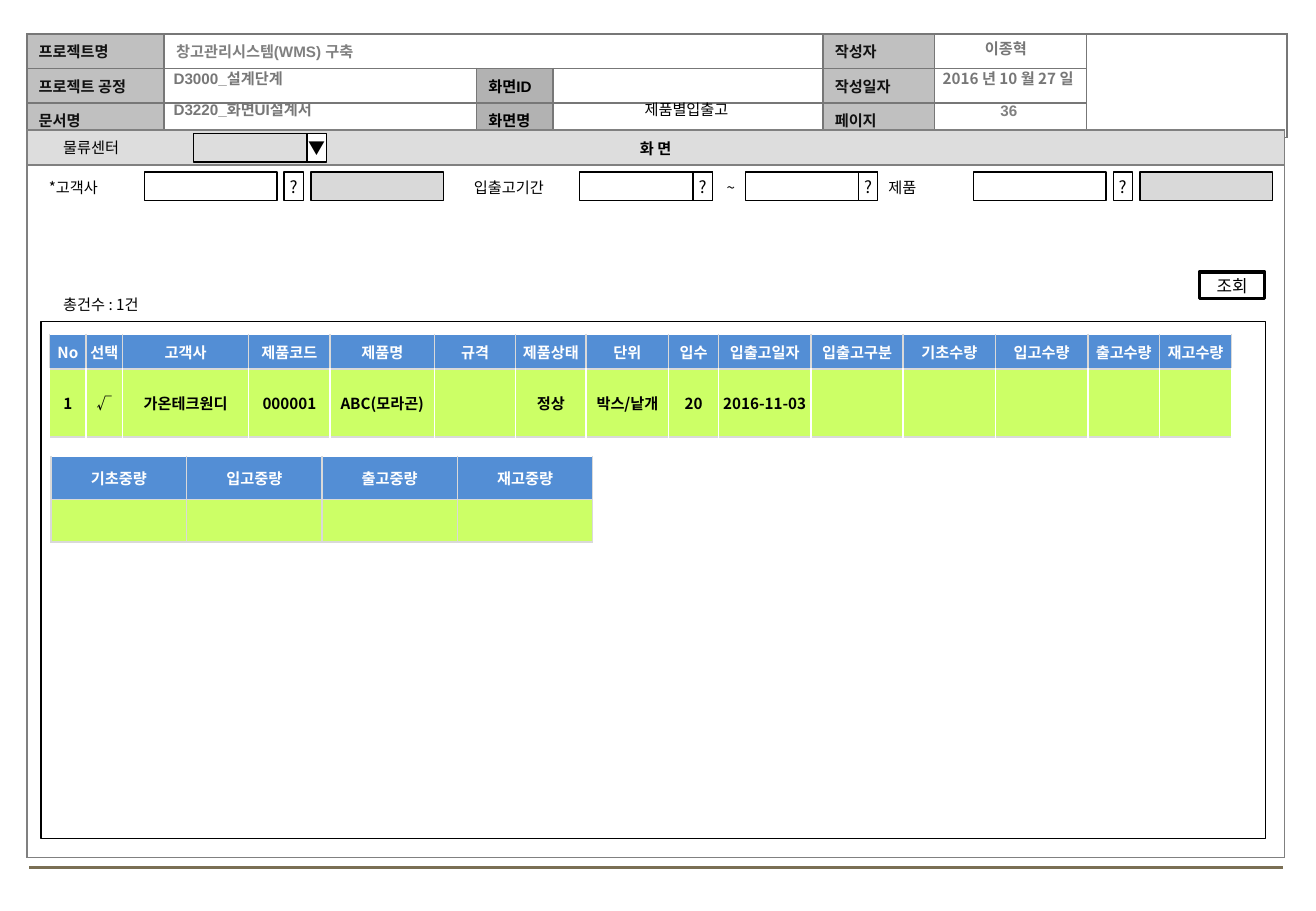
"""Builds the stock movement screen design slide."""
from lxml import etree
from pptx import Presentation, util as u
from pptx.dml import color
from pptx.enum import shapes, text
from pptx.oxml import ns

INK = {"black": "000000", "label": "111111", "gray": "777777", "edge": "808080",
       "bar": "DDDDDD", "head": "C0C0C0", "sub": "B2B2B2", "off": "D9D9D9",
       "blue": "538ED5", "lime": "CCFF66", "white": "FFFFFF", "base": "7A6F54"}
MID, LEFT = text.PP_ALIGN.CENTER, text.PP_ALIGN.LEFT
KOR = "Noto Sans CJK KR"
PLAIN = {"size": 9, "name": KOR, "bold": False, "ink": "black"}
BOLD = {**PLAIN, "bold": True}
LATIN = {**BOLD, "name": "Arial"}
FIELD = 2.77


class Pen:
    def __init__(self, slide):
        self.slide = slide

    def put(self, item, form):
        for key, value in form.items():
            setattr(item, key, value)

    def tint(self, fill, ink):
        if ink:
            fill.solid()
            fill.fore_color.rgb = color.RGBColor.from_string(INK[ink])
        else:
            fill.background()

    def pad(self, item, side, top):
        self.put(item, {"margin_left": u.Cm(side), "margin_right": u.Cm(side),
                        "margin_top": u.Cm(top), "margin_bottom": u.Cm(top)})

    def say(self, frame, words, form, align=MID):
        para = frame.paragraphs[0]
        para.alignment = align
        if not words:
            etree.SubElement(para._p, ns.qn("a:endParaRPr"), sz="900")
            return
        run = para.add_run()
        run.text = words
        self.put(run.font, {"size": u.Pt(form["size"]), "name": form["name"],
                            "bold": form["bold"]})
        run.font.color.rgb = color.RGBColor.from_string(INK[form["ink"]])
        etree.SubElement(run.font._element, ns.qn("a:ea"), typeface=KOR)

    def label(self, x, y, w, words, form=PLAIN, align=MID):
        box = self.slide.shapes.add_textbox(u.Cm(x), u.Cm(y), u.Cm(w), u.Cm(0.64))
        self.put(box.text_frame, {"word_wrap": True,
                                  "auto_size": text.MSO_AUTO_SIZE.SHAPE_TO_FIT_TEXT})
        self.say(box.text_frame, words, form, align)

    def box(self, x, y, w, h=0.6, fill=None, words="", width=0.75):
        rect = self.slide.shapes.add_shape(shapes.MSO_SHAPE.RECTANGLE,
                                           u.Cm(x), u.Cm(y), u.Cm(w), u.Cm(h))
        rect.shadow.inherit = False
        self.tint(rect.fill, fill)
        self.tint(rect.line.fill, "black")
        rect.line.width = u.Pt(width)
        if words:
            frame = rect.text_frame
            self.pad(frame, 0.05, 0.1)
            self.put(frame, {"word_wrap": False, "vertical_anchor": text.MSO_ANCHOR.MIDDLE})
            self.say(frame, words, {**PLAIN, "size": 10})

    def rule(self, x, y, end, ink, width):
        line = self.slide.shapes.add_connector(shapes.MSO_CONNECTOR.STRAIGHT,
                                               u.Cm(x), u.Cm(y), u.Cm(end), u.Cm(y))
        self.tint(line.line.fill, ink)
        line.line.width = u.Pt(width)
        etree.SubElement(line._element.spPr, ns.qn("a:effectLst"))

    def table(self, x, y, cols, rows):
        grid = self.slide.shapes.add_table(len(rows), len(cols), u.Cm(x), u.Cm(y),
                                           u.Cm(sum(cols)), u.Cm(sum(rows))).table
        self.put(grid, {"first_row": False, "horz_banding": False})
        for col, size in zip(grid.columns, cols):
            col.width = u.Cm(size)
        for row, size in zip(grid.rows, rows):
            row.height = u.Cm(size)
        return grid

    def cell(self, cell, words, form, fill, edge, sides="LRTB", align=MID, pad=(0.03, 0.02)):
        self.pad(cell, *pad)
        cell.vertical_anchor = text.MSO_ANCHOR.MIDDLE
        self.tint(cell.fill, fill)
        self.say(cell.text_frame, words, form, align)
        props = cell._tc.get_or_add_tcPr()
        for spot, side in enumerate(sides):
            line = etree.Element(ns.qn("a:ln" + side), w="12700")
            solid = etree.SubElement(line, ns.qn("a:solidFill"))
            etree.SubElement(solid, ns.qn("a:srgbClr"), val=INK[edge])
            props.insert(spot, line)


def header(pen):
    grid = pen.table(0.56, 0.71, [2.87, 6.53, 1.6, 5.64, 2.34, 3.17, 4.19], [0.64] * 3)
    grid.cell(0, 1).merge(grid.cell(0, 3))
    grid.cell(0, 6).merge(grid.cell(2, 6))
    names = [["프로젝트명", "창고관리시스템(WMS) 구축", "", "", "작성자", "", ""],
             ["프로젝트 공정", "", "화면ID", "", "작성일자", "", ""],
             ["문서명", "", "화면명", "", "페이지", "", ""]]
    fills = {0: "head", 2: "sub", 4: "head"}
    inks = {0: "label", 1: "edge", 2: "black", 4: "label"}
    for r, row in enumerate(names):
        for c, words in enumerate(row):
            form = {**LATIN, "ink": inks.get(c, "black")}
            fill = fills.get(c) if words else None
            pen.cell(grid.cell(r, c), words, form, fill, "gray", align=LEFT, pad=(0.25, 0.13))
    gray = {**LATIN, "ink": "gray"}
    pen.label(3.38, 1.32, 13.75, "D3000_설계단계", gray, LEFT)
    pen.label(3.38, 1.98, 13.75, "D3220_화면UI설계서", gray, LEFT)
    pen.label(19.5, 2, 3.18, "36", {**LATIN, "ink": "edge"})
    pen.label(11.58, 1.98, 5.54, "제품별입출고")
    pen.label(19.08, 1.32, 3.99, "2016 년 10 월 27 일", {**BOLD, "ink": "gray"})
    pen.label(19.03, 0.69, 3.99, "이종혁", {**BOLD, "ink": "gray"})


def search(pen):
    pen.label(1.07, 2.77, 2.97, "물류센터", align=LEFT)
    pen.box(4.04, 2.79, FIELD)
    pen.box(6.42, 2.79, 0.4, fill="white", words="▼")
    for x, words in ((3.02, "*고객사"), (12.12, "입출고기간"), (20.35, "제품")):
        pen.label(x - 2.97, 3.6, 2.97, words)
    for x in (3.02, 20.35):
        pen.box(x, 3.6, FIELD)
        pen.box(x + 2.92, 3.6, 0.4, fill="white", words="?")
        pen.box(x + 3.48, 3.6, FIELD, fill="off")
    for x in (12.12, 15.58):
        pen.box(x, 3.6, FIELD)
        pen.box(x + 2.37, 3.6, 0.4, fill="white", words="?")
    pen.label(14.94, 3.6, 0.58, "~")
    pen.box(25.07, 5.69, 1.37, 0.56, "white", "조회", 2)
    pen.label(0.81, 6.05, 2.6, "총건수 : 1건")


def stock(pen):
    pen.box(0.86, 6.73, 25.6, 10.8)
    heads = ["No", "선택", "고객사", "제품코드", "제품명", "규격", "제품상태", "단위", "입수",
             "입출고일자", "입출고구분", "기초수량", "입고수량", "출고수량", "재고수량"]
    items = ["1", "√", "가온테크원디", "000001", "ABC(모라곤)", "", "정상",
             "박스/낱개", "20", "2016-11-03"] + [""] * 5
    wide = [0.76, 0.76, 2.64, 1.7, 2.18, 1.7, 1.47, 1.73, 1.04] + [1.93] * 4 + [1.5] * 2
    main = pen.table(1.04, 6.99, wide, [0.73, 1.42])
    sums = pen.table(1.07, 9.55, [2.83] * 4, [0.89] * 2)
    weights = ["기초중량", "입고중량", "출고중량", "재고중량"]
    for grid, top, low, sides in ((main, heads, items, "TB"), (sums, weights, [""] * 4, "LRTB")):
        for c, (head, item) in enumerate(zip(top, low)):
            pen.cell(grid.cell(0, c), head, {**BOLD, "ink": "white"}, "blue", "off", "LRB")
            pen.cell(grid.cell(1, c), item, BOLD, "lime", "off", sides)


def main():
    deck = Presentation()
    deck.slide_width, deck.slide_height = u.Cm(27.51), u.Cm(19.05)
    pen = Pen(deck.slides.add_slide(deck.slide_layouts[6]))
    pen.rule(0.61, 18.14, 26.82, "base", 1.75)
    header(pen)
    body = pen.table(0.56, 2.72, [26.29], [0.73, 14.48])
    pen.cell(body.cell(0, 0), "화 면", LATIN, "bar", "edge")
    pen.cell(body.cell(1, 0), "", PLAIN, None, "edge")
    search(pen)
    stock(pen)
    deck.save("out.pptx")


if __name__ == "__main__":
    main()
